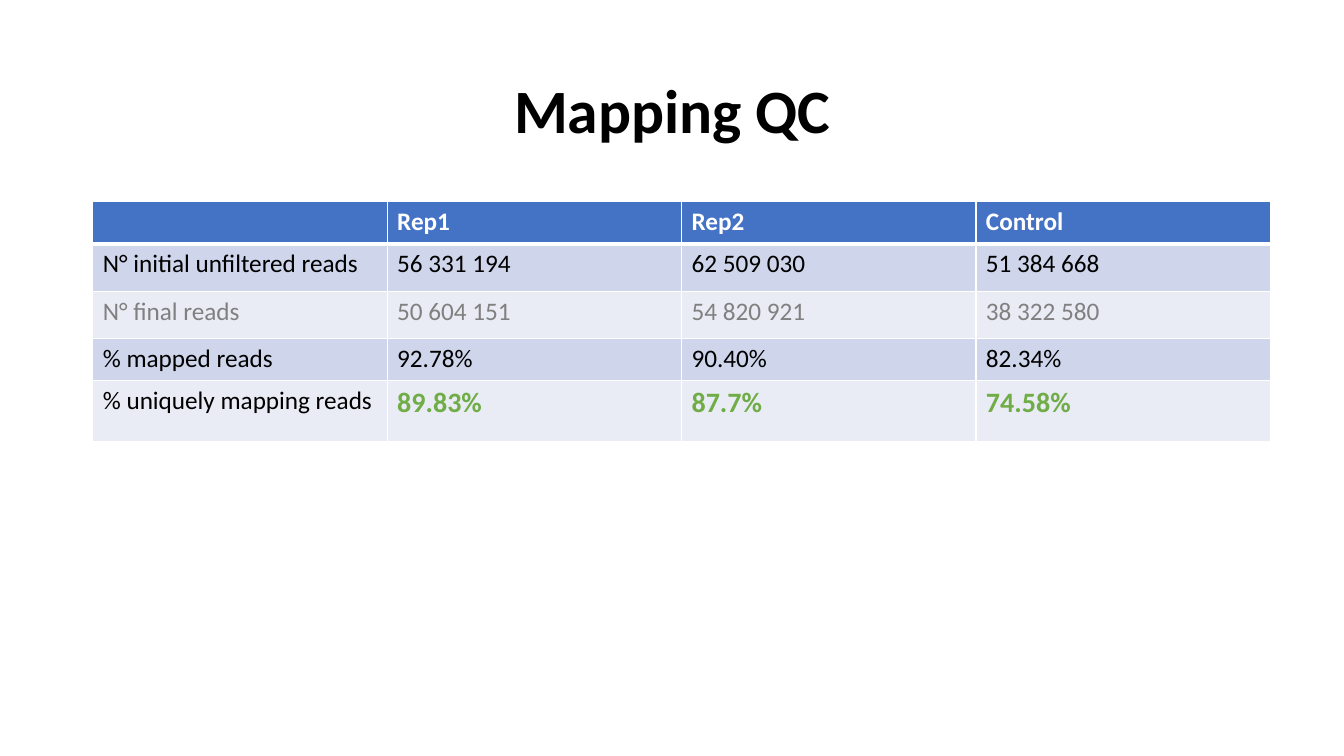
from dataclasses import dataclass

from lxml.etree import SubElement
from pptx import Presentation
from pptx.dml.color import RGBColor
from pptx.enum.text import MSO_ANCHOR, PP_ALIGN
from pptx.oxml.ns import qn
from pptx.slide import Slide
from pptx.table import _Cell
from pptx.text.text import _Paragraph
from pptx.util import Inches, Pt

WHITE = RGBColor(0xFF, 0xFF, 0xFF)
BLACK = RGBColor(0x00, 0x00, 0x00)
GRAY = RGBColor(0x80, 0x80, 0x80)
GREEN = RGBColor(0x70, 0xAD, 0x47)
BLUE = RGBColor(0x44, 0x72, 0xC4)
DARK_BAND = RGBColor(0xCF, 0xD5, 0xEA)
LIGHT_BAND = RGBColor(0xE9, 0xEB, 0xF5)

FONT = "Calibri"
MARGIN = 0.92
COLUMN_WIDTH = 2.92
TABLE_TOP = 2


@dataclass(frozen=True)
class Style:
    """Describe how a run of text looks."""

    color: RGBColor = BLACK
    size: float = 18
    bold: bool = False


@dataclass(frozen=True)
class Row:
    """Describe one row of the table."""

    height: float
    fill: RGBColor
    label: str
    values: tuple[str, ...]
    label_style: Style = Style()
    value_style: Style = Style()
    top_line: float = 1
    bottom_line: float = 1


HEADING = Style(WHITE, bold=True)
MUTED = Style(GRAY)
HIGHLIGHT = Style(GREEN, 20, True)

ROWS = (
    Row(0.42, BLUE, "", ("Rep1", "Rep2", "Control"), HEADING, HEADING, bottom_line=3),
    Row(0.47, DARK_BAND, "N° initial unfiltered reads",
        ("56 331 194", "62 509 030", "51 384 668"), top_line=3),
    Row(0.47, LIGHT_BAND, "N° final reads",
        ("50 604 151", "54 820 921", "38 322 580"), MUTED, MUTED),
    Row(0.42, DARK_BAND, "% mapped reads", ("92.78%", "90.40%", "82.34%")),
    Row(0.6, LIGHT_BAND, "% uniquely mapping reads",
        ("89.83%", "87.7%", "74.58%"), value_style=HIGHLIGHT),
)


def add_span(para: _Paragraph, text: str, style: Style) -> None:
    """Add one formatted run to a paragraph."""
    span = para.add_run()
    span.text = text
    span.font.name = FONT
    span.font.size = Pt(style.size)
    span.font.bold = style.bold
    span.font.color.rgb = style.color


def add_borders(cell: _Cell, top: float, bottom: float) -> None:
    """Draw white lines on the four sides of a cell."""
    properties = cell._tc.get_or_add_tcPr()
    for side, width in (("L", 1), ("R", 1), ("T", top), ("B", bottom)):
        line = SubElement(properties, qn(f"a:ln{side}"), w=str(Pt(width)))
        fill = SubElement(line, qn("a:solidFill"))
        SubElement(fill, qn("a:srgbClr"), val=str(WHITE))


def add_title(page: Slide, text: str) -> None:
    """Place and format the slide title."""
    title = page.shapes.title
    title.left, title.top = Inches(MARGIN), Inches(0.4)
    title.width, title.height = Inches(11.5), Inches(1.45)
    title.text_frame.vertical_anchor = MSO_ANCHOR.MIDDLE
    para = title.text_frame.paragraphs[0]
    para.alignment = PP_ALIGN.CENTER
    para.line_spacing = 0.9
    add_span(para, text, Style(size=44, bold=True))


def add_reads_table(page: Slide, rows: tuple[Row, ...]) -> None:
    """Add the table of read counts and mapping rates."""
    column_count = 1 + len(rows[0].values)
    table = page.shapes.add_table(
        len(rows), column_count, Inches(MARGIN), Inches(TABLE_TOP),
        Inches(COLUMN_WIDTH * column_count), Inches(sum(row.height for row in rows)),
    ).table
    for column in table.columns:
        column.width = Inches(COLUMN_WIDTH)
    for row_index, row in enumerate(rows):
        table.rows[row_index].height = Inches(row.height)
        for column_index, text in enumerate((row.label, *row.values)):
            cell = table.cell(row_index, column_index)
            add_borders(cell, row.top_line, row.bottom_line)
            cell.fill.solid()
            cell.fill.fore_color.rgb = row.fill
            if text:
                style = row.value_style if column_index else row.label_style
                add_span(cell.text_frame.paragraphs[0], text, style)


def main() -> None:
    """Build and save the deck."""
    deck = Presentation()
    deck.slide_width, deck.slide_height = Inches(13.33), Inches(7.5)
    page = deck.slides.add_slide(deck.slide_layouts[5])
    add_title(page, "Mapping QC")
    add_reads_table(page, ROWS)
    deck.save("out.pptx")


if __name__ == "__main__":
    main()
